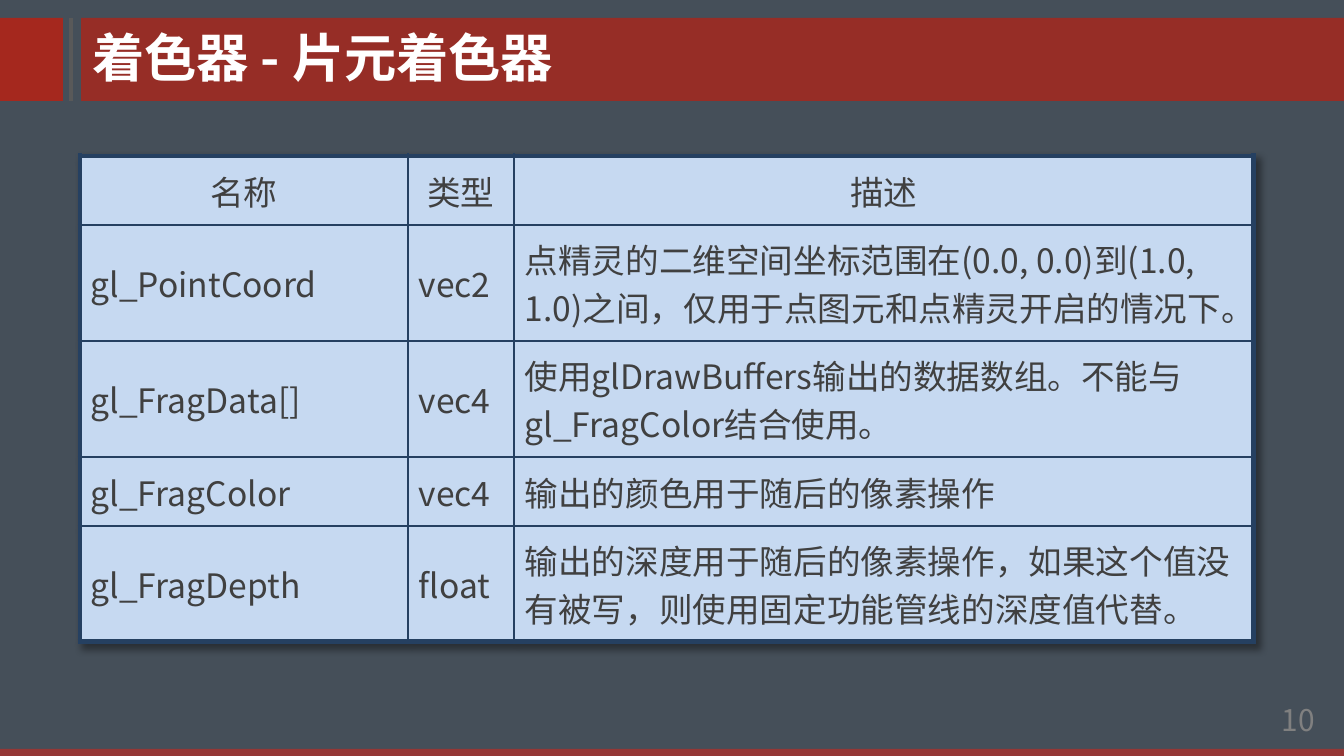
from dataclasses import dataclass

from lxml import etree
from pptx import Presentation
from pptx import util as u
from pptx.dml.color import RGBColor
from pptx.enum import shapes, text
from pptx.oxml import parse_xml
from pptx.oxml.ns import nsdecls, qn

PX = 914400 / 134.4


def px(length):
    """Turn pixels into EMU."""
    return u.Emu(round(length * PX))


@dataclass(frozen=True)
class Theme:
    """Colours, font and type sizes of the deck."""
    font: str = "Noto Sans CJK SC"
    background: str = "454F59"
    accent: str = "A5281E"
    footer: str = "953735"
    rule: str = "595959"
    cell: str = "C6D9F1"
    border: str = "254061"
    body: str = "404040"
    muted: str = "808080"
    white: str = "FFFFFF"
    title_size: int = 28
    body_size: int = 18
    number_size: int = 16
    outer_line: int = 3
    inner_line: int = 1


class Deck:
    """Draws styled elements on the current slide."""

    def __init__(self, theme, width, height):
        self.theme = theme
        self.file = Presentation()
        self.file.slide_width, self.file.slide_height = px(width), px(height)
        self.slide = None

    def new_slide(self):
        title_only = self.file.slide_layouts[5]
        self.slide = self.file.slides.add_slide(title_only)
        self.paint(self.slide.background.fill, self.theme.background)

    def paint(self, fill, color):
        fill.solid()
        fill.fore_color.rgb = RGBColor.from_string(color)

    def set_words(self, frame, words, size, color, align, bold=False):
        frame.text = words
        paragraph = frame.paragraphs[0]
        paragraph.alignment = align
        for run in paragraph.runs:
            font = run.font
            font.size, font.bold, font.name = u.Pt(size), bold, self.theme.font
            font.color.rgb = RGBColor.from_string(color)
            east_asian = etree.SubElement(font._element, qn("a:ea"))
            east_asian.set("typeface", self.theme.font)

    def band(self, left, top, width, height, color, opacity=100):
        band = self.slide.shapes.add_shape(
            shapes.MSO_SHAPE.RECTANGLE, *map(px, (left, top, width, height)))
        band.shadow.inherit = False
        band.line.fill.background()
        self.paint(band.fill, color)
        if opacity < 100:
            tint = band._element.spPr.find(".//" + qn("a:srgbClr"))
            etree.SubElement(tint, qn("a:alpha")).set("val", str(opacity * 1000))

    def rule(self, x, top, bottom, color, weight):
        rule = self.slide.shapes.add_connector(
            shapes.MSO_CONNECTOR.STRAIGHT, *map(px, (x, top, x, bottom)))
        rule.line.width = u.Pt(weight)
        rule.line.color.rgb = RGBColor.from_string(color)
        etree.SubElement(rule._element.spPr, qn("a:effectLst"))

    def title(self, left, top, width, height, words):
        title = self.slide.shapes.title
        self.slide.shapes._spTree.append(title._element)
        title.left, title.top, title.width, title.height = map(
            px, (left, top, width, height))
        frame = title.text_frame
        frame.vertical_anchor = text.MSO_ANCHOR.MIDDLE
        frame.auto_size = text.MSO_AUTO_SIZE.NONE
        self.set_words(frame, words, self.theme.title_size, self.theme.white,
                       text.PP_ALIGN.LEFT, bold=True)

    def page_number(self, left, top, width, height, number):
        box = self.slide.shapes.add_textbox(*map(px, (left, top, width, height)))
        box.text_frame.word_wrap = True
        self.set_words(box.text_frame, number, self.theme.number_size,
                       self.theme.muted, text.PP_ALIGN.RIGHT)

    def border(self, cell, outer_sides):
        properties = cell._tc.get_or_add_tcPr()
        for place, side in enumerate("LRTB"):
            weight = self.theme.outer_line if side in outer_sides else self.theme.inner_line
            properties.insert(place, parse_xml(
                f'<a:ln{side} {nsdecls("a")} w="{u.Pt(weight)}"><a:solidFill>'
                f'<a:srgbClr val="{self.theme.border}"/></a:solidFill></a:ln{side}>'))

    def table(self, left, top, widths, heights, rows):
        area = map(px, (left, top, sum(widths), sum(heights)))
        table = self.slide.shapes.add_table(len(rows), len(widths), *area).table
        table.first_row = table.horz_banding = False
        table._tbl.tblPr.insert(0, parse_xml(
            f'<a:effectLst {nsdecls("a")}><a:outerShdw blurRad="50800" dist="38100" '
            'dir="2700000" algn="tl" rotWithShape="0"><a:srgbClr val="000000">'
            '<a:alpha val="40000"/></a:srgbClr></a:outerShdw></a:effectLst>'))
        for column, width in zip(table.columns, widths):
            column.width = px(width)
        for row, height in zip(table.rows, heights):
            row.height = px(height)
        last_row, last_column = len(rows) - 1, len(widths) - 1
        for r, row in enumerate(rows):
            for c, words in enumerate(row):
                cell = table.cell(r, c)
                cell.vertical_anchor = text.MSO_ANCHOR.MIDDLE
                cell.margin_left = cell.margin_right = u.Inches(0.08)
                cell.margin_top = cell.margin_bottom = u.Inches(0.04)
                self.paint(cell.fill, self.theme.cell)
                edges = {"L": c == 0, "R": c == last_column,
                         "T": r == 0, "B": r == last_row}
                self.border(cell, [side for side, outer in edges.items() if outer])
                align = text.PP_ALIGN.LEFT if r else text.PP_ALIGN.CENTER
                self.set_words(cell.text_frame, words, self.theme.body_size,
                               self.theme.body, align)


SHADER_OUTPUTS = [
    ("名称", "类型", "描述"),
    ("gl_PointCoord", "vec2",
     "点精灵的二维空间坐标范围在(0.0, 0.0)到(1.0, 1.0)之间，仅用于点图元和点精灵开启的情况下。"),
    ("gl_FragData[]", "vec4",
     "使用glDrawBuffers输出的数据数组。不能与gl_FragColor结合使用。"),
    ("gl_FragColor", "vec4", "输出的颜色用于随后的像素操作"),
    ("gl_FragDepth", "float",
     "输出的深度用于随后的像素操作，如果这个值没有被写，则使用固定功能管线的深度值代替。"),
]


def main():
    """Build the fragment shader slide."""
    theme = Theme()
    deck = Deck(theme, 1344, 756)
    deck.new_slide()
    deck.band(0, 18, 63, 83, theme.accent)
    deck.rule(71, 18, 101, theme.rule, 2.25)
    deck.band(0, 749, 1344, 21, theme.footer)
    deck.page_number(1243, 695, 85, 42, "10")
    deck.band(81, 18, 1263, 83, theme.accent, opacity=85)
    deck.title(79, 18, 858, 77, "着色器 - 片元着色器")
    one_line, two_lines = 69, 116
    deck.table(80, 156, (328, 106, 740),
               (one_line, two_lines, two_lines, one_line, two_lines), SHADER_OUTPUTS)
    deck.file.save("out.pptx")


if __name__ == "__main__":
    main()
